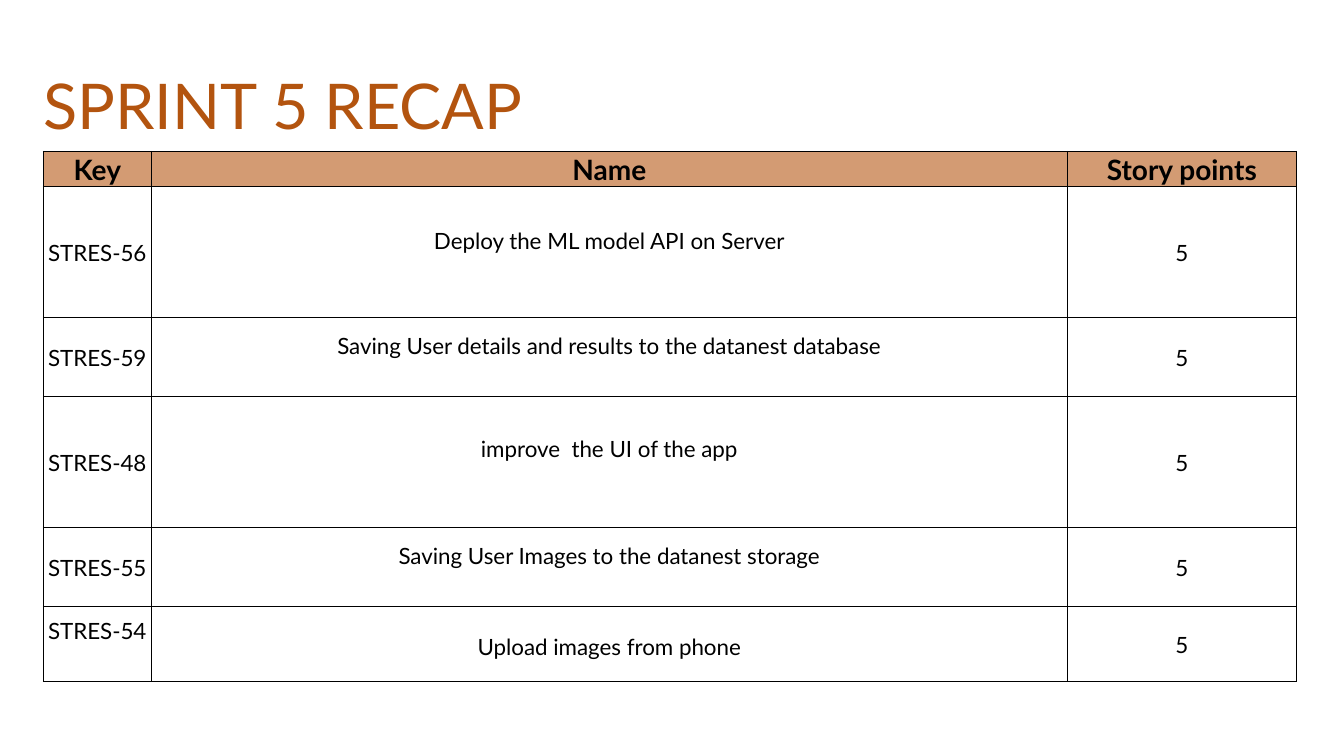
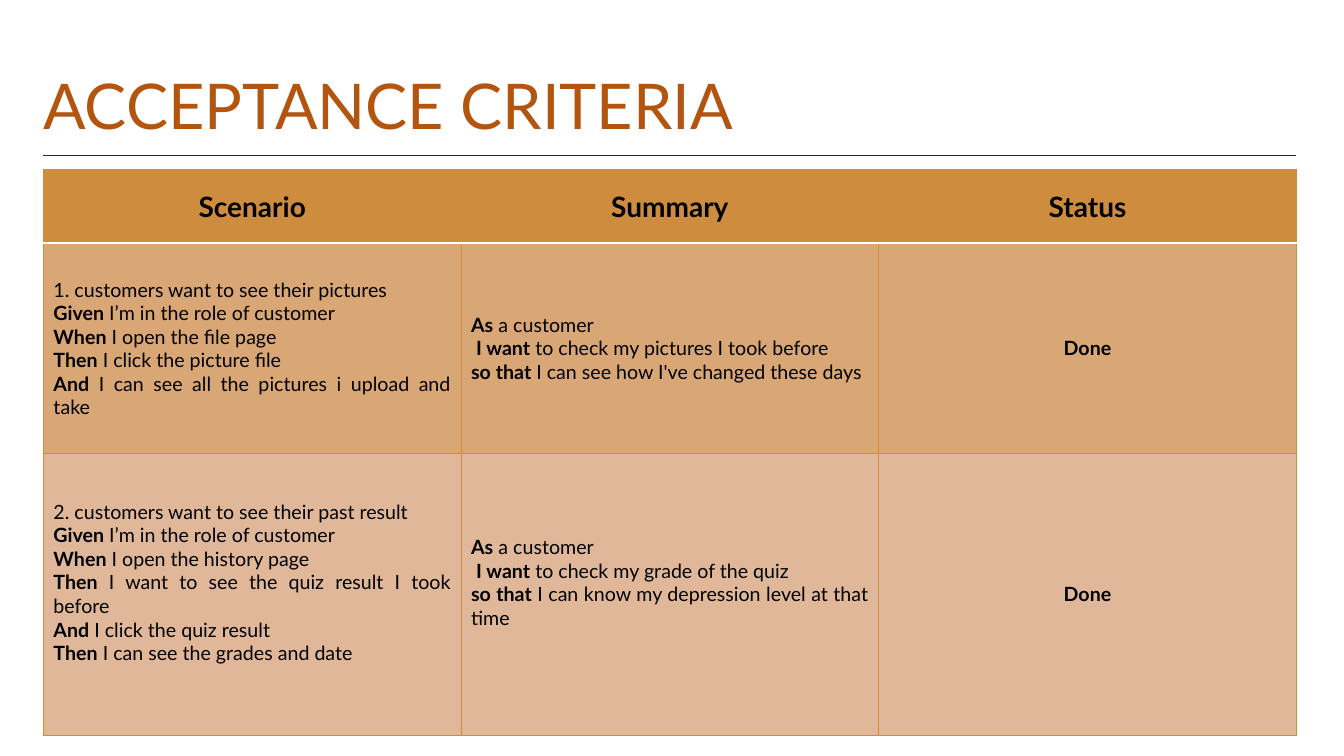
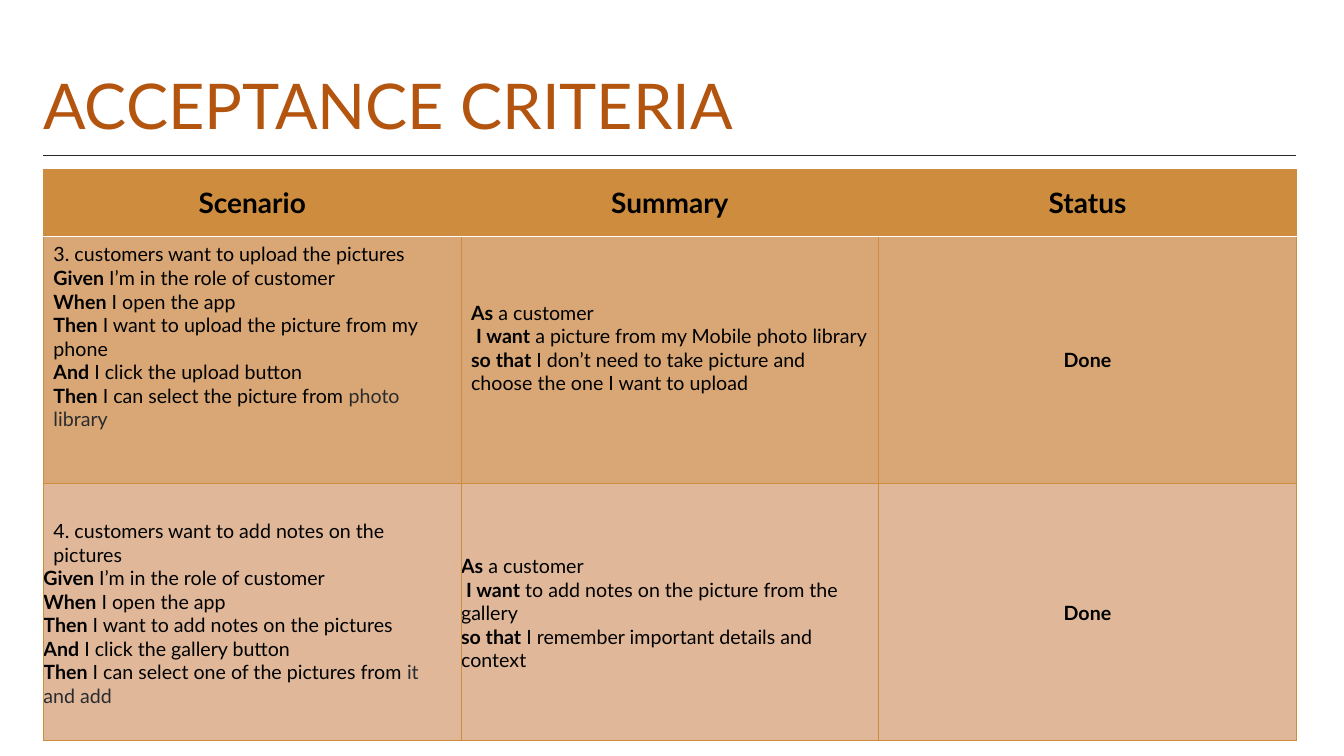
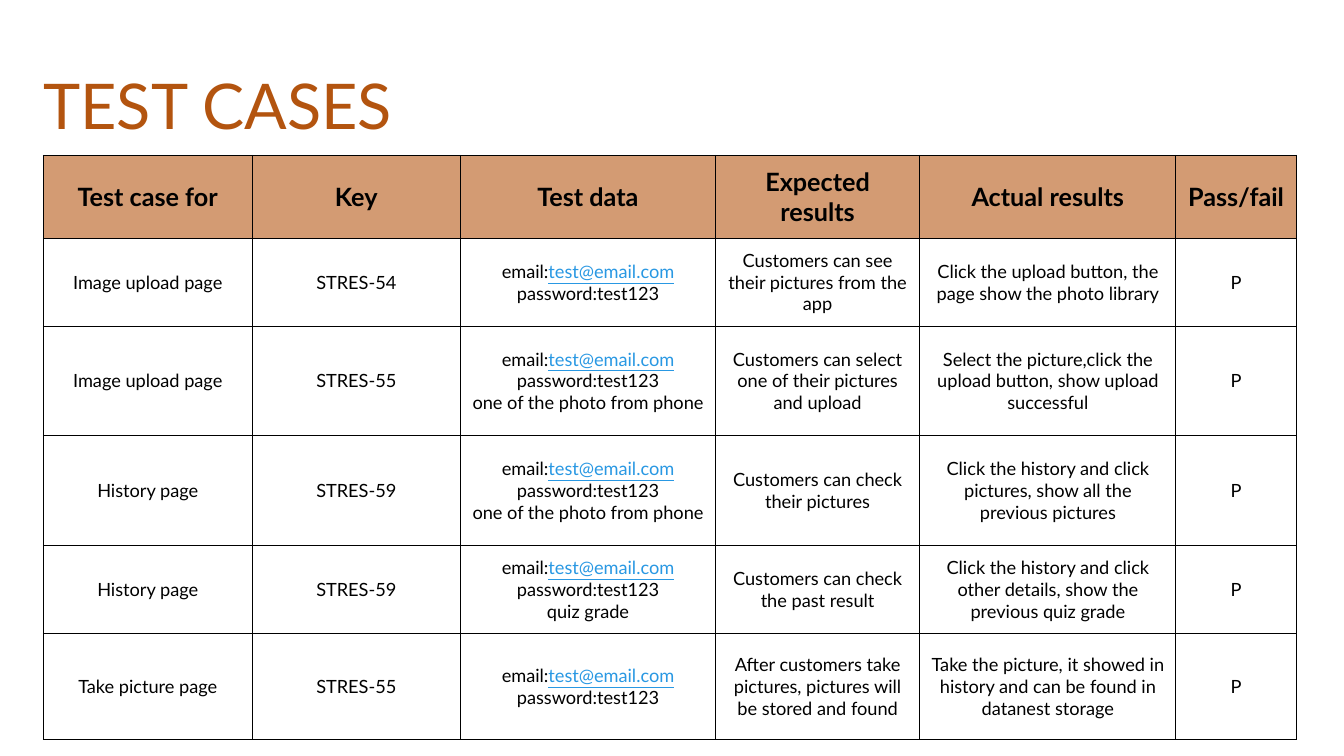
import pptx
import pptx.dml.color
import pptx.enum.shapes
import pptx.enum.text
import pptx.oxml
import pptx.oxml.ns
import pptx.util
import lxml.etree

Pt = pptx.util.Pt
ALIGN = pptx.enum.text.PP_ALIGN
ANCHOR = pptx.enum.text.MSO_ANCHOR
FONT = "Lato"
BLACK, WHITE = "000000", "FFFFFF"
TITLE_COLOR, RULE_COLOR = "B3540F", "262626"
HEADER_TAN, HEADER_OCHRE = "D39B73", "CE8D3E"
ROW_DARK, ROW_LIGHT = "D9A775", "E0B899"
LINK_COLOR, MUTED_COLOR = "2998E3", "2A2B2E"
LEFT, WIDTH = 31, 895


def color(value):
    return pptx.dml.color.RGBColor.from_string(value)


def write_cell(cell, text, size, bold, align, fill, margins, edges, is_link):
    cell.margin_left, cell.margin_top, cell.margin_right, cell.margin_bottom = map(Pt, margins)
    cell.vertical_anchor = ANCHOR.MIDDLE
    properties = cell._tc.get_or_add_tcPr()
    for side, (edge_color, edge_width) in edges.items():
        line = lxml.etree.SubElement(properties, pptx.oxml.ns.qn("a:" + side), w=str(Pt(edge_width)))
        line_fill = lxml.etree.SubElement(line, pptx.oxml.ns.qn("a:solidFill"))
        lxml.etree.SubElement(line_fill, pptx.oxml.ns.qn("a:srgbClr"), val=edge_color)
    cell.fill.solid()
    cell.fill.fore_color.rgb = color(fill)
    for number, words in enumerate(text.split("\n")):
        frame = cell.text_frame
        paragraph = frame.add_paragraph() if number else frame.paragraphs[0]
        paragraph.alignment = align
        paragraph.font.name = FONT
        paragraph.font.size = Pt(size)
        paragraph.font.bold = bold
        paragraph.font.color.rgb = color(BLACK)
        for index, piece in enumerate(words.split("*")):
            if not piece:
                continue
            run = paragraph.add_run()
            run.text = piece
            if index == 1 and is_link:
                run.font.underline = True
                run.font.color.rgb = color(LINK_COLOR)
            elif index == 1:
                run.font.bold = True
            elif index == 3:
                run.font.color.rgb = color(MUTED_COLOR)


CRITERIA_HEADER = ["Scenario", "Summary", "Status"]
LOGIN = "email:*test@email.com*\npassword:test123"
PHONE_LOGIN = LOGIN + "\none of the photo from phone"

recap = {
    "title": "SPRINT 5 RECAP",
    "top": 108,
    "widths": [77, 654.5, 163.5],
    "heights": [25, 94, 56, 94, 56, 54],
    "sizes": [20, 16],
    "fills": [HEADER_TAN] + [WHITE] * 5,
    "aligns": [ALIGN.CENTER] * 3,
    "border": (BLACK, 0.75),
    "margins": (0.7, 0.7, 0.7, 0),
    "special_margins": {
        (1, 1): (0.7, 0.7, 0.7, 16),
        (2, 1): (0.7, 0.7, 0.7, 16),
        (3, 1): (0.7, 0.7, 0.7, 19),
        (4, 1): (0.7, 0.7, 0.7, 16),
        (5, 0): (0.7, 0.7, 0.7, 19),
        (5, 1): (0.7, 4, 0.7, 0),
    },
    "rows": [
        ["Key", "Name", "Story points"],
        ["STRES-56", "Deploy the ML model API on Server", "5"],
        ["STRES-59", "Saving User details and results to the datanest database", "5"],
        ["STRES-48", "improve  the UI of the app", "5"],
        ["STRES-55", "Saving User Images to the datanest storage", "5"],
        ["STRES-54", "Upload images from phone", "5"],
    ],
}

viewing = {
    "title": "ACCEPTANCE CRITERIA",
    "top": 121,
    "widths": [WIDTH / 3] * 3,
    "heights": [52.5, 150.5, 201],
    "sizes": [20, 14],
    "fills": [HEADER_OCHRE, ROW_DARK, ROW_LIGHT],
    "aligns": [ALIGN.JUSTIFY, ALIGN.JUSTIFY, ALIGN.CENTER],
    "border": (HEADER_OCHRE, 0.5),
    "margins": (7.2, 3.6, 7.2, 3.6),
    "special_margins": {(2, 0): (7.2, 3.6, 7.2, 20.6), (2, 1): (7.2, 3.6, 7.2, 20.6)},
    "rows": [
        CRITERIA_HEADER,
        [
            "1. customers want to see their pictures\n"
            "*Given *I’m in the role of customer\n"
            "*When* I open the file page\n"
            "*Then* I click the picture file\n"
            "*And* I can see all the pictures i upload and take",
            "*As* a customer\n"
            " *I want* to check my pictures I took before\n"
            "*so that* I can see how I've changed these days",
            "*Done*",
        ],
        [
            "2. customers want to see their past result\n"
            "*Given *I’m in the role of customer\n"
            "*When* I open the history page\n"
            "*Then* I want to see the quiz result I took before\n"
            "*And* I click the quiz result\n"
            "*Then* I can see the grades and date",
            "*As* a customer\n"
            " *I want* to check my grade of the quiz\n"
            "*so that* I can know my depression level at that time",
            "*Done*",
        ],
    ],
}

uploading = {
    **viewing,
    "heights": [48, 176, 184],
    "aligns": [ALIGN.LEFT, ALIGN.LEFT, ALIGN.CENTER],
    "special_margins": {
        (1, 0): (7.2, 3.6, 7.2, 36.5),
        (1, 1): (7.2, 3.6, 7.2, 20.6),
        (2, 0): (0, 2.2, 7.2, 0),
        (2, 1): (0, 2.2, 7.2, 0),
        (2, 2): (7.2, 2.2, 7.2, 0),
    },
    "rows": [
        CRITERIA_HEADER,
        [
            "3. customers want to upload the pictures\n"
            "*Given *I’m in the role of customer\n"
            "*When* I open the app\n"
            "*Then* I want to upload the picture from my phone\n"
            "*And* I click the upload button\n"
            "*Then* I can select the picture from *photo library*",
            "*As* a customer\n"
            " *I want* a picture from my Mobile photo library\n"
            "*so that* I don’t need to take picture and choose the one I want to upload",
            "*Done*",
        ],
        [
            "4. customers want to add notes on the pictures\n"
            "*Given *I’m in the role of customer\n"
            "*When* I open the app\n"
            "*Then* I want to add notes on the pictures\n"
            "*And* I click the gallery button\n"
            "*Then* I can select one of the pictures from *it and add*",
            "*As* a customer\n"
            " *I want* to add notes on the picture from the gallery\n"
            "*so that* I remember important details and context",
            "*Done*",
        ],
    ],
}

test_cases = {
    "title": "TEST CASES",
    "top": 111,
    "widths": [149, 149, 182, 146, 183, 86],
    "heights": [59, 63, 78, 78.5, 63, 76],
    "sizes": [18, 13],
    "fills": [HEADER_TAN] + [WHITE] * 5,
    "aligns": [ALIGN.CENTER] * 6,
    "border": (BLACK, 0.75),
    "margins": (7.2, 7.2, 7.2, 7.2),
    "special_margins": {},
    "rows": [
        ["Test case for", "Key", "Test data", "Expected results", "Actual results", "Pass/fail"],
        ["Image upload page", "STRES-54", LOGIN,
         "Customers can see their pictures from the app",
         "Click the upload button, the page show the photo library", "P"],
        ["Image upload page", "STRES-55", PHONE_LOGIN,
         "Customers can select one of their pictures and upload",
         "Select the picture,click the upload button, show upload successful", "P"],
        ["History page", "STRES-59", PHONE_LOGIN,
         "Customers can check their pictures",
         "Click the history and click pictures, show all the previous pictures", "P"],
        ["History page", "STRES-59", LOGIN + "\nquiz grade",
         "Customers can check the past result",
         "Click the history and click other details, show the previous quiz grade", "P"],
        ["Take picture page", "STRES-55", LOGIN,
         "After customers take pictures, pictures will be stored and found",
         "Take the picture, it showed in history and can be found in datanest storage", "P"],
    ],
}

presentation = pptx.Presentation()
presentation.slide_width = Pt(960)
presentation.slide_height = Pt(540)
layout = presentation.slide_layouts[5]

for content in [recap, viewing, uploading, test_cases]:
    slide = presentation.slides.add_slide(layout)

    if content is recap:
        rule = slide.shapes.add_connector(
            pptx.enum.shapes.MSO_CONNECTOR.STRAIGHT, Pt(LEFT), Pt(111), Pt(LEFT + WIDTH), Pt(111))
        rule.line.color.rgb = color(RULE_COLOR)
        rule.line.width = Pt(1)
        lxml.etree.SubElement(rule.element.spPr, pptx.oxml.ns.qn("a:effectLst"))
        layout.shapes.element.append(rule.element)

    title = slide.shapes.title
    title.left, title.top, title.width, title.height = Pt(LEFT), Pt(26.5), Pt(WIDTH), Pt(79.5)
    frame = title.text_frame
    frame.text = content["title"]
    frame.auto_size = pptx.enum.text.MSO_AUTO_SIZE.NONE
    frame.vertical_anchor = ANCHOR.BOTTOM
    frame.margin_left = frame.margin_right = 0
    frame.margin_top = frame.margin_bottom = Pt(3.6)
    paragraph = frame.paragraphs[0]
    paragraph.alignment = ALIGN.LEFT
    paragraph.line_spacing = 0.9
    paragraph.font.name = FONT
    paragraph.font.size = Pt(45)
    paragraph.font.color.rgb = color(TITLE_COLOR)

    rows = content["rows"]
    table = slide.shapes.add_table(
        len(rows), len(rows[0]), Pt(LEFT), Pt(content["top"]),
        Pt(WIDTH), Pt(sum(content["heights"]))).table
    for column, width in zip(table.columns, content["widths"]):
        column.width = Pt(width)
    for row, height in zip(table.rows, content["heights"]):
        row.height = Pt(height)

    for row_index, texts in enumerate(rows):
        is_header = row_index == 0
        edges = dict.fromkeys(["lnL", "lnR", "lnT", "lnB"], content["border"])
        if content["fills"][0] == HEADER_OCHRE and row_index < 2:
            edges["lnB" if is_header else "lnT"] = (WHITE, 1)
        for column_index, text in enumerate(texts):
            write_cell(
                table.cell(row_index, column_index), text,
                content["sizes"][0 if is_header else 1], is_header,
                ALIGN.CENTER if is_header else content["aligns"][column_index],
                content["fills"][row_index],
                content["special_margins"].get((row_index, column_index), content["margins"]),
                edges, content is test_cases)

    if content is uploading:
        heading = table.cell(2, 0).text_frame.paragraphs[0]
        heading._p.get_or_add_pPr().set("marL", str(Pt(7.2)))

presentation.save("out.pptx")
